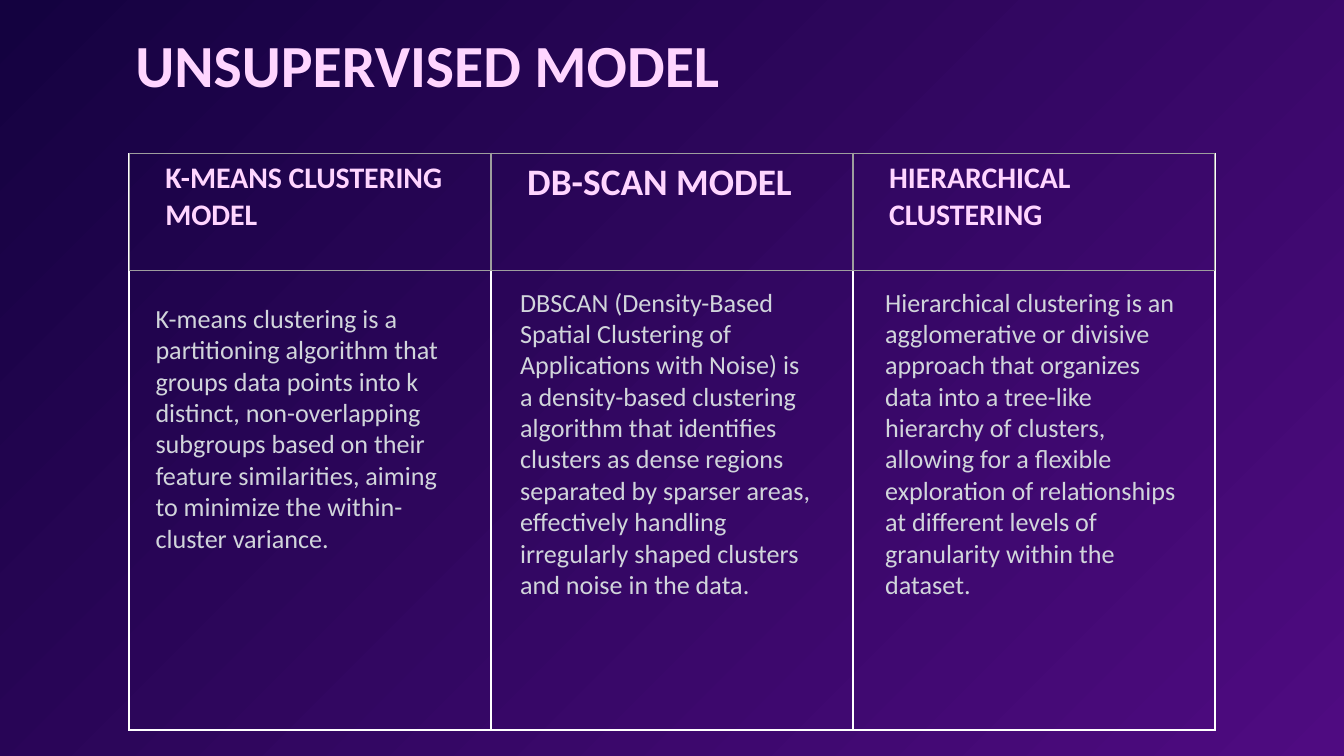
import pptx
import pptx.dml.color
import pptx.enum.text
import pptx.oxml
import pptx.oxml.ns
import pptx.util
from pptx.util import Cm

THEME = {
    "font": "Calibri",
    "background": ("140240", "4F0B81"),
    "heading": "FFD5FF",
    "body": "D1D5DB",
    "frame_line": ("FFFFFF", 1),
    "header_line": ("9E9E9E", 0.75),
    "title_size": 32,
    "body_size": 14,
}

TITLE = "UNSUPERVISED MODEL"

# Heading, heading size, description, and its left, top, width, height in cm
MODELS = [
    ("K-MEANS CLUSTERING MODEL", 16,
     "K-means clustering is a partitioning algorithm that groups data points "
     "into k distinct, non-overlapping subgroups based on their feature "
     "similarities, aiming to minimize the within-cluster variance.",
     (2.69, 5.59, 6.35, 5.05)),
    ("DB-SCAN MODEL", 20,
     "DBSCAN (Density-Based Spatial Clustering of Applications with Noise) is "
     "a density-based clustering algorithm that identifies clusters as dense "
     "regions separated by sparser areas, effectively handling irregularly "
     "shaped clusters and noise in the data.",
     (9.58, 5.28, 6.02, 6.25)),
    ("HIERARCHICAL CLUSTERING", 16,
     "Hierarchical clustering is an agglomerative or divisive approach that "
     "organizes data into a tree-like hierarchy of clusters, allowing for a "
     "flexible exploration of relationships at different levels of "
     "granularity within the dataset.",
     (16.48, 5.28, 6.02, 6.25)),
]

TABLE_LEFT, TABLE_TOP = 2.44, 2.9
COLUMN_WIDTH = 6.84
FRAME_HEIGHT, HEADER_HEIGHT = 10.9, 2.21
HEADING_INDENT = 0.43


def rgb(value):
    return pptx.dml.color.RGBColor.from_string(value)


def style(paragraph, size, color, bold=False):
    font = paragraph.font
    font.name = THEME["font"]
    font.size = pptx.util.Pt(size)
    font.bold = bold
    font.color.rgb = rgb(color)


def add_borders(cell, color, width):
    properties = cell._tc.get_or_add_tcPr()
    for side in ("lnL", "lnR", "lnT", "lnB"):
        properties.append(pptx.oxml.parse_xml(
            f'<a:{side} {pptx.oxml.ns.nsdecls("a")} w="{pptx.util.Pt(width)}">'
            f'<a:solidFill><a:srgbClr val="{color}"/></a:solidFill></a:{side}>'))


def add_row_table(slide, height, line):
    table = slide.shapes.add_table(
        1, len(MODELS), Cm(TABLE_LEFT), Cm(TABLE_TOP),
        Cm(COLUMN_WIDTH * len(MODELS)), Cm(height)).table
    table.first_row = table.horz_banding = False
    for column in table.columns:
        column.width = Cm(COLUMN_WIDTH)
    for cell in table.iter_cells():
        add_borders(cell, *line)
        cell.fill.background()
    return table


def add_text(slide, text, box, size, color, bold=False):
    shape = slide.shapes.add_textbox(*map(Cm, box))
    shape.text_frame.word_wrap = True
    paragraph = shape.text_frame.paragraphs[0]
    paragraph.text = text
    style(paragraph, size, color, bold)
    return shape


def main():
    presentation = pptx.Presentation()
    presentation.slide_width, presentation.slide_height = Cm(25.4), Cm(14.29)
    slide = presentation.slides.add_slide(presentation.slide_layouts[6])

    # Diagonal background
    fill = slide.background.fill
    fill.gradient()
    fill.gradient_angle = 315
    for stop, color in zip(fill.gradient_stops, THEME["background"]):
        stop.color.rgb = rgb(color)

    # Frame with the heading row over it
    add_row_table(slide, FRAME_HEIGHT, THEME["frame_line"])
    header = add_row_table(slide, HEADER_HEIGHT, THEME["header_line"])

    # Headings and descriptions
    for cell, (heading, size, description, box) in zip(header.iter_cells(), MODELS):
        paragraph = cell.text_frame.paragraphs[0]
        paragraph.text = heading
        paragraph._p.get_or_add_pPr().set("marL", str(Cm(HEADING_INDENT)))
        style(paragraph, size, THEME["heading"], bold=True)
        shape = add_text(slide, description, box, THEME["body_size"], THEME["body"])
        shape.text_frame.auto_size = pptx.enum.text.MSO_AUTO_SIZE.SHAPE_TO_FIT_TEXT

    # Title
    add_text(slide, TITLE, (2.31, 0.41, 21.34, 1.75),
             THEME["title_size"], THEME["heading"], bold=True)

    presentation.save("out.pptx")


if __name__ == "__main__":
    main()
